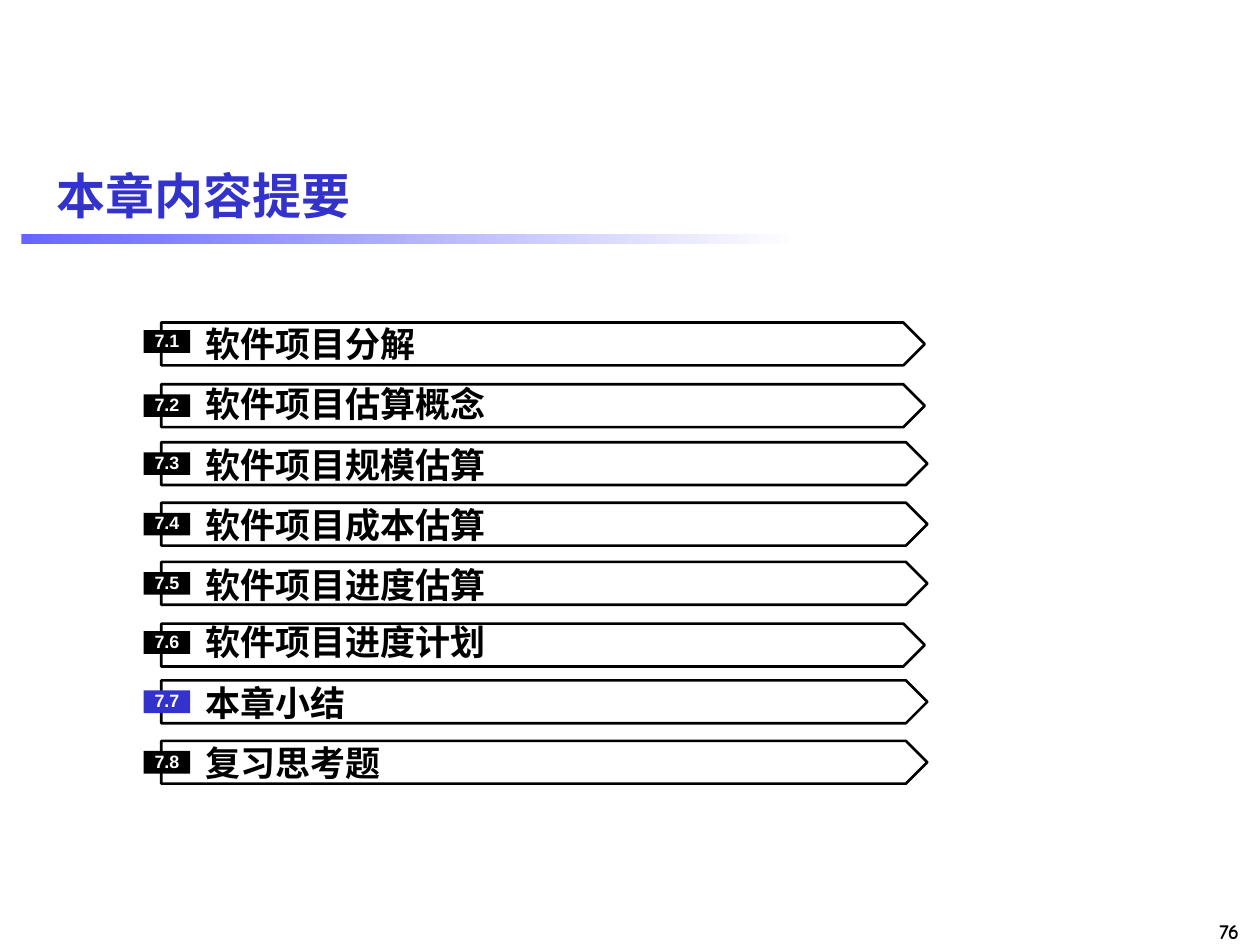
from dataclasses import dataclass

from pptx import Presentation
from pptx.dml.color import RGBColor
from pptx.enum.shapes import MSO_SHAPE
from pptx.enum.text import MSO_ANCHOR, MSO_AUTO_SIZE, PP_ALIGN
from pptx.util import Inches, Pt


@dataclass(frozen=True)
class Theme:
    ink: RGBColor = RGBColor(0, 0, 0)
    paper: RGBColor = RGBColor(255, 255, 255)
    accent: RGBColor = RGBColor(0x33, 0x33, 0xCC)
    glow: RGBColor = RGBColor(0x66, 0x66, 0xFF)
    sans: str = "Arial"
    serif: str = "Times New Roman"
    comic: str = "Comic Neue"
    title: float = 28
    label: float = 20
    number: float = 12
    badge: float = 10.2
    line: float = 1.5


@dataclass(frozen=True)
class Row:
    label: str
    top: float
    text: float  # top of the label box
    badge: float  # top of the badge
    tip: float = 7.36
    active: bool = False


THEME = Theme()
ROWS = [
    Row("软件项目分解", 2.56, 2.56, 2.62, tip=7.34),
    Row("软件项目估算概念", 3.05, 3.04, 3.13, tip=7.34),
    Row("软件项目规模估算", 3.51, 3.52, 3.59),
    Row("软件项目成本估算", 3.99, 4.0, 4.07),
    Row("软件项目进度估算", 4.46, 4.47, 4.54),
    Row("软件项目进度计划", 4.95, 4.93, 5.01, tip=7.34),
    Row("本章小结", 5.4, 5.41, 5.48, active=True),
    Row("复习思考题", 5.88, 5.89, 5.96),
]


def write(shape, text: str, size: float, font: str, color: RGBColor,
          align=PP_ALIGN.LEFT, inset=(0, 0, 0, 0), anchor=MSO_ANCHOR.MIDDLE):
    """Put one bold run into a shape and return its paragraph."""
    frame = shape.text_frame
    frame.word_wrap = True
    frame.vertical_anchor = anchor
    (frame.margin_left, frame.margin_top,
     frame.margin_right, frame.margin_bottom) = map(Inches, inset)
    para = frame.paragraphs[0]
    para.alignment = align
    run = para.add_run()
    run.text = text
    run.font.size = Pt(size)
    run.font.name = font
    run.font.bold = True
    run.font.color.rgb = color
    return para


def add_box(shapes, left: float, top: float, width: float, height: float):
    return shapes.add_textbox(*map(Inches, (left, top, width, height)))


def add_rect(shapes, left: float, top: float, width: float, height: float):
    rect = shapes.add_shape(MSO_SHAPE.RECTANGLE,
                            *map(Inches, (left, top, width, height)))
    rect.shadow.inherit = False
    rect.line.fill.background()
    return rect


def add_arrow(shapes, row: Row) -> None:
    left, neck, high = 1.28, row.tip - 0.17, 0.34
    low = row.top + high
    points = [(neck, row.top), (row.tip, row.top + high / 2),
              (neck, low), (left, low)]
    pen = shapes.build_freeform(Inches(left), Inches(row.top))
    pen.add_line_segments([(Inches(x), Inches(y)) for x, y in points])
    arrow = pen.convert_to_shape()
    arrow.shadow.inherit = False
    arrow.fill.background()
    arrow.line.color.rgb = THEME.ink
    arrow.line.width = Pt(THEME.line)


def add_row(slide, index: int, row: Row) -> None:
    shapes = slide.shapes.add_group_shape().shapes
    add_arrow(shapes, row)

    label = add_box(shapes, 1.56, row.text, 5.4, 0.33)
    write(label, row.label, THEME.label, THEME.serif, THEME.ink,
          inset=(0.07, 0, 0, 0))
    label.text_frame.auto_size = MSO_AUTO_SIZE.SHAPE_TO_FIT_TEXT

    badge = add_rect(shapes, 1.14, row.badge, 0.37, 0.18)
    badge.fill.solid()
    badge.fill.fore_color.rgb = THEME.accent if row.active else THEME.ink
    para = write(badge, f"7.{index}", THEME.badge, THEME.sans, THEME.paper,
                 PP_ALIGN.CENTER)
    para.line_spacing = 0.9


def add_rule(slide) -> None:
    rule = add_rect(slide.shapes, 0.17, 1.86, 6.17, 0.08)
    rule.fill.gradient()
    rule.fill.gradient_angle = 0
    colors = (THEME.glow, THEME.paper)
    for stop, place, color in zip(rule.fill.gradient_stops, (0, 1), colors):
        stop.position = place
        stop.color.rgb = color


def main() -> None:
    deck = Presentation()
    deck.slide_width, deck.slide_height = Inches(10), Inches(7.5)
    slide = deck.slides.add_slide(deck.slide_layouts[6])

    # Page number, rule and title
    pad = (0.1, 0.05, 0.1, 0.05)
    write(add_box(slide.shapes, 9.01, 7.24, 0.92, 0.3), "76", THEME.number,
          THEME.comic, THEME.ink, PP_ALIGN.RIGHT, pad, MSO_ANCHOR.TOP)
    add_rule(slide)
    write(add_box(slide.shapes, 0.35, 1.15, 9.45, 0.79), "本章内容提要",
          THEME.title, THEME.sans, THEME.accent, inset=pad)

    # Chapter sections
    for index, row in enumerate(ROWS, 1):
        add_row(slide, index, row)

    deck.save("out.pptx")


if __name__ == "__main__":
    main()
